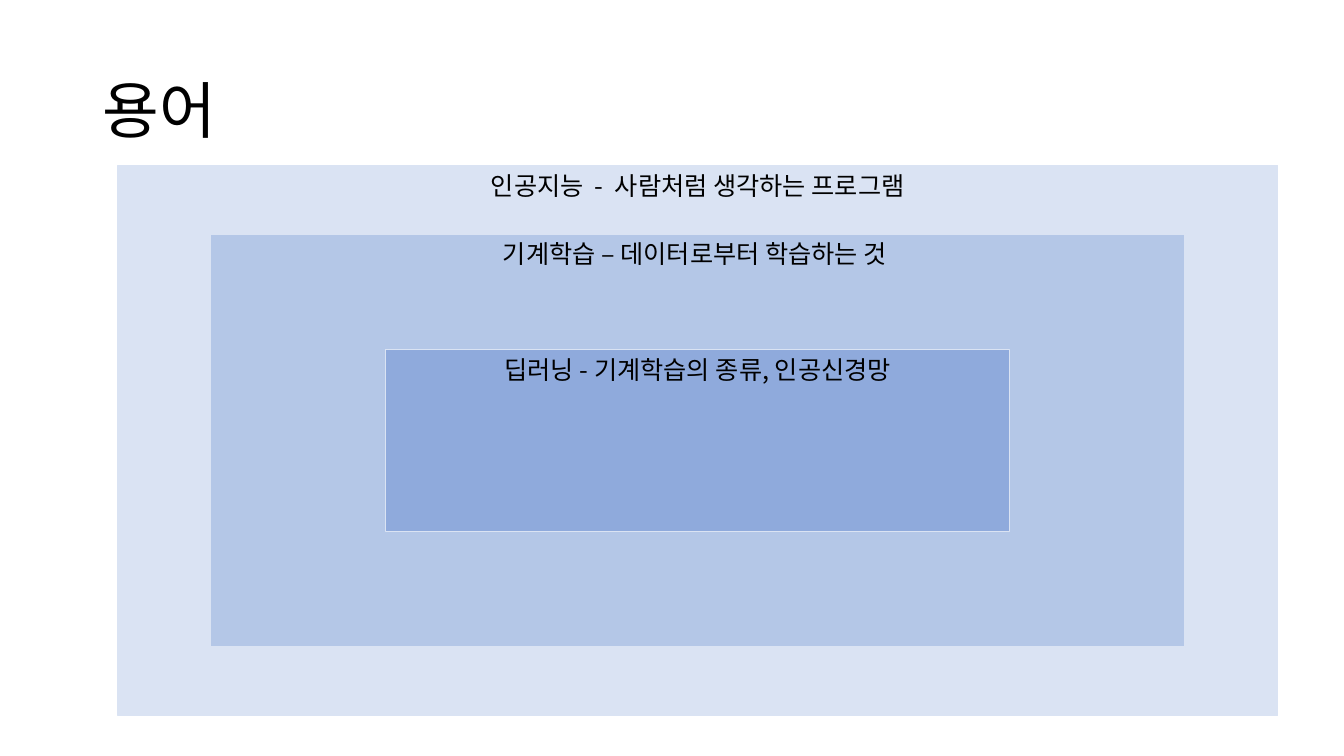
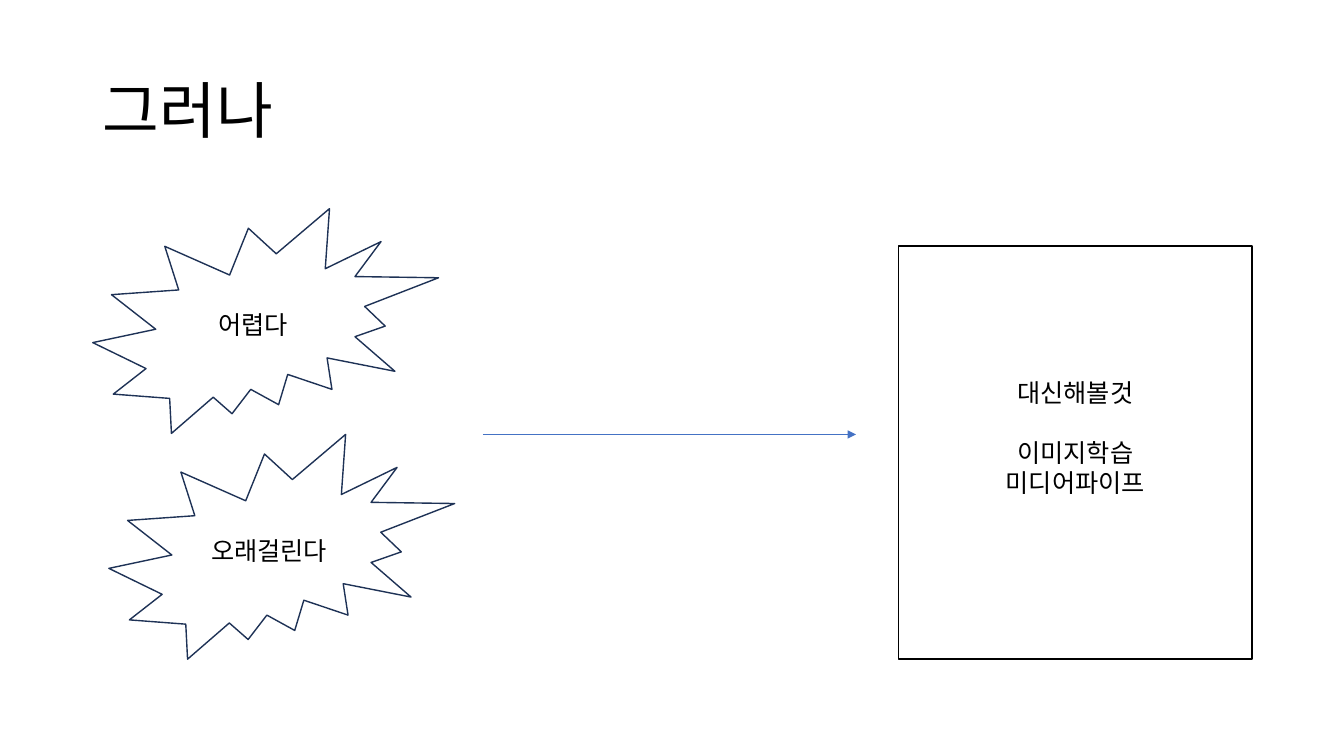
from dataclasses import dataclass

from lxml import etree
from pptx import Presentation
from pptx.dml.color import RGBColor
from pptx.enum.shapes import MSO_CONNECTOR, MSO_SHAPE
from pptx.enum.text import MSO_ANCHOR, PP_ALIGN
from pptx.oxml.ns import qn
from pptx.util import Inches, Pt

RECTANGLE = MSO_SHAPE.RECTANGLE
BURST = MSO_SHAPE.EXPLOSION2
STRAIGHT = MSO_CONNECTOR.STRAIGHT
TOP, MIDDLE = MSO_ANCHOR.TOP, MSO_ANCHOR.MIDDLE
LEFT, CENTER = PP_ALIGN.LEFT, PP_ALIGN.CENTER


@dataclass(frozen=True)
class Theme:
    font: str = "Noto Sans CJK KR"
    title_size: float = 44
    body_size: float = 18
    body_leading: float = 21.5
    title_leading: float = 0.9
    outline: float = 1
    arrow_width: float = 0.5
    text: str = "000000"
    white: str = "FFFFFF"
    pale: str = "DAE3F3"
    light: str = "B4C7E7"
    medium: str = "8FAADC"
    accent: str = "4472C4"
    navy: str = "1E3256"


class Deck:
    def __init__(self, theme):
        self.theme = theme
        self.presentation = Presentation()
        self.presentation.slide_width = Inches(13.33)
        self.presentation.slide_height = Inches(7.5)
        self.slide = None

    def add_slide(self, title):
        layout = self.presentation.slide_layouts[6]
        self.slide = self.presentation.slides.add_slide(layout)
        box = self.slide.shapes.add_textbox(
            Inches(0.92), Inches(0.4), Inches(11.5), Inches(1.45))
        frame = box.text_frame
        frame.word_wrap = True
        frame.vertical_anchor = MIDDLE
        self.add_text(frame.paragraphs[0], title, self.theme.title_size,
                      LEFT, self.theme.title_leading)

    def add_text(self, paragraph, text, size, alignment, leading):
        paragraph.alignment = alignment
        paragraph.line_spacing = leading
        run = paragraph.add_run()
        run.text = text
        run.font.name = self.theme.font
        run.font.size = Pt(size)
        run.font.color.rgb = RGBColor.from_string(self.theme.text)
        east_asian = etree.SubElement(run.font._element, qn("a:ea"))
        east_asian.set("typeface", self.theme.font)

    def add_box(self, kind, left, top, width, height, lines, fill, line,
                anchor=MIDDLE):
        shape = self.slide.shapes.add_shape(
            kind, Inches(left), Inches(top), Inches(width), Inches(height))
        shape.shadow.inherit = False
        shape.fill.solid()
        shape.fill.fore_color.rgb = RGBColor.from_string(fill)
        shape.line.color.rgb = RGBColor.from_string(line)
        shape.line.width = Pt(self.theme.outline)
        frame = shape.text_frame
        frame.word_wrap = True
        frame.vertical_anchor = anchor
        for index, text in enumerate(lines):
            paragraph = frame.add_paragraph() if index else frame.paragraphs[0]
            self.add_text(paragraph, text, self.theme.body_size, CENTER,
                          Pt(self.theme.body_leading))
        return shape

    def add_arrow(self, start, end, y):
        arrow = self.slide.shapes.add_connector(
            STRAIGHT, Inches(start), Inches(y), Inches(end), Inches(y))
        arrow.line.color.rgb = RGBColor.from_string(self.theme.accent)
        arrow.line.width = Pt(self.theme.arrow_width)
        properties = arrow._element.spPr
        tail = etree.SubElement(properties.find(qn("a:ln")), qn("a:tailEnd"))
        tail.set("type", "triangle")
        etree.SubElement(properties, qn("a:effectLst"))


def add_terms_slide(deck):
    theme = deck.theme
    deck.add_slide("용어")
    center_x, center_y = 6.92, 4.37
    layers = [
        (11.5, 5.46, theme.pale, "인공지능  -  사람처럼 생각하는 프로그램"),
        (9.67, 4.1, theme.light, "기계학습 – 데이터로부터 학습하는 것 "),
        (6.19, 1.81, theme.medium, "딥러닝 - 기계학습의 종류, 인공신경망"),
    ]
    for width, height, fill, text in layers:
        deck.add_box(RECTANGLE, center_x - width / 2, center_y - height / 2,
                     width, height, [text], fill, theme.pale, TOP)


def add_alternative_slide(deck):
    theme = deck.theme
    deck.add_slide("그러나")
    bursts = [(0.92, 2.07, "어렵다"), (1.08, 4.31, "오래걸린다")]
    for left, top, text in bursts:
        deck.add_box(BURST, left, top, 3.43, 2.23, [text],
                     theme.white, theme.navy)
    deck.add_arrow(4.79, 8.49, 4.31)
    options = deck.add_box(RECTANGLE, 8.91, 2.44, 3.51, 4.1,
                           ["대신해볼것", "이미지학습", "미디어파이프"],
                           theme.white, theme.text)
    frame = options.text_frame
    frame.margin_bottom = Inches(0.35)
    frame.paragraphs[0].space_after = Pt(theme.body_leading)


def main():
    deck = Deck(Theme())
    add_terms_slide(deck)
    add_alternative_slide(deck)
    deck.presentation.save("out.pptx")


if __name__ == "__main__":
    main()
